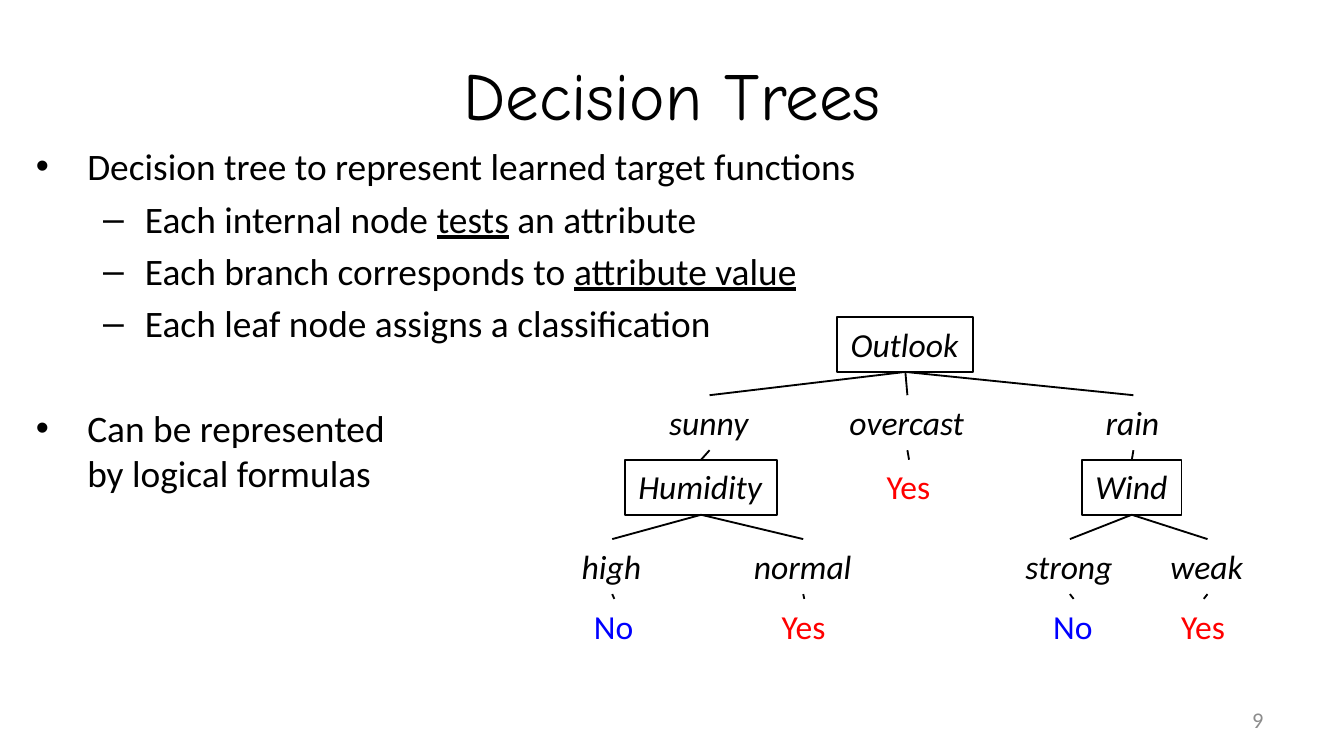
import pptx
import pptx.util
import pptx.dml.color
import pptx.enum.shapes
import pptx.enum.text
import pptx.oxml.xmlchemy

Cm, Pt = pptx.util.Cm, pptx.util.Pt
RGBColor = pptx.dml.color.RGBColor
BLACK = RGBColor(0x00, 0x00, 0x00)
RED = RGBColor(0xFF, 0x00, 0x00)
BLUE = RGBColor(0x00, 0x00, 0xFF)
GRAY = RGBColor(0x8C, 0x8C, 0x8C)
ALIGN = pptx.enum.text.PP_ALIGN
ANCHOR = pptx.enum.text.MSO_ANCHOR


def add_run(p, text, color=BLACK, **font):
    """Add a run; font holds attribute values of its font."""
    r = p.add_run()
    r.text = text
    for name, value in {"name": "Calibri", "size": Pt(18), **font}.items():
        setattr(r.font, name, value)
    r.font.color.rgb = color


def set_bullet(p, char, left, hang):
    """Give a paragraph a bullet and a hanging indent."""
    pPr = p._p.get_or_add_pPr()
    pPr.set("marL", str(Cm(left)))
    pPr.set("indent", str(-Cm(hang)))
    for tag, name, value in (("buFont", "typeface", "Arial"), ("buChar", "char", char)):
        bullet = pptx.oxml.xmlchemy.OxmlElement("a:" + tag)
        bullet.set(name, value)
        pPr.append(bullet)


prs = pptx.Presentation()
prs.slide_width, prs.slide_height = Cm(25.4), Cm(14.29)
s = prs.slides.add_slide(prs.slide_layouts[5])

# Title
sp = s.shapes.title
sp.left, sp.top, sp.width, sp.height = Cm(1.27), Cm(0.58), Cm(22.86), Cm(2.39)
tf = sp.text_frame
tf.vertical_anchor = ANCHOR.MIDDLE
p = tf.paragraphs[0]
p.alignment = ALIGN.CENTER
add_run(p, "Decision Trees", name="Comic Neue", size=Pt(36))

# Bulleted text: level, space before, pieces (every second piece is underlined)
bullets = [
    (0, 4, ["Decision tree to represent learned target functions"]),
    (1, 4, ["Each internal node ", "tests", " an attribute"]),
    (1, 4, ["Each branch corresponds to ", "attribute value"]),
    (1, 4, ["Each leaf node assigns a classification"]),
    (0, 32, ["Can be represented\vby logical formulas"]),
]
styles = [("•", 0.97, 0.97), ("–", 2.06, 0.79)]
tf = s.shapes.add_textbox(Cm(0.43), Cm(2.59), Cm(24.97), Cm(11.5)).text_frame
tf.word_wrap = True
for i, (level, space, pieces) in enumerate(bullets):
    p = tf.add_paragraph() if i else tf.paragraphs[0]
    p.level = level
    p.space_before = Pt(space)
    set_bullet(p, *styles[level])
    for j, piece in enumerate(pieces):
        for k, line in enumerate(piece.split("\v")):
            if k:
                p.add_line_break()
            add_run(p, line, size=Pt(20), underline=j % 2 == 1)

# Tree nodes: text, kind, centre x, row, width
NODE_H = 1.04
ROWS = [5.99, 7.47, 8.69, 10.19, 11.32]
nodes = [
    ("Outlook", "test", 17.11, 0, 2.57),
    ("sunny", "value", 13.41, 1, 2.03),
    ("overcast", "value", 17.15, 1, 2.69),
    ("rain", "value", 21.42, 1, 1.55),
    ("Humidity", "test", 13.25, 2, 2.87),
    ("Yes", "leaf", 17.18, 2, 1.35),
    ("Wind", "test", 21.39, 2, 1.88),
    ("high", "value", 11.57, 3, 1.65),
    ("normal", "value", 15.18, 3, 2.36),
    ("strong", "value", 20.22, 3, 2.18),
    ("weak", "value", 22.82, 3, 1.9),
    ("No", "leaf", 11.61, 4, 1.27),
    ("Yes", "leaf", 15.2, 4, 1.35),
    ("No", "leaf", 20.29, 4, 1.27),
    ("Yes", "leaf", 22.75, 4, 1.35),
]
leaf_colors = {"Yes": RED, "No": BLUE}
for text, kind, x, row, width in nodes:
    box = Cm(x - width / 2), Cm(ROWS[row]), Cm(width), Cm(NODE_H)
    if kind == "test":
        sp = s.shapes.add_shape(pptx.enum.shapes.MSO_SHAPE.RECTANGLE, *box)
        sp.shadow.inherit = False
        sp.fill.background()
        sp.line.color.rgb = BLACK
        sp.line.width = Pt(1)
    else:
        sp = s.shapes.add_textbox(*box)
    tf = sp.text_frame
    tf.word_wrap = False
    tf.auto_size = pptx.enum.text.MSO_AUTO_SIZE.SHAPE_TO_FIT_TEXT
    tf.vertical_anchor = ANCHOR.TOP
    p = tf.paragraphs[0]
    p.alignment = ALIGN.LEFT
    add_run(p, text, leaf_colors.get(text, BLACK), italic=kind != "leaf")

# Branches: index of the parent node and of its children
branches = {0: (1, 2, 3), 1: (4,), 2: (5,), 3: (6,), 4: (7, 8), 6: (9, 10),
            7: (11,), 8: (12,), 9: (13,), 10: (14,)}
for parent, children in branches.items():
    x1, row1 = nodes[parent][2:4]
    for child in children:
        x2, row2 = nodes[child][2:4]
        sp = s.shapes.add_connector(
            pptx.enum.shapes.MSO_CONNECTOR.STRAIGHT,
            Cm(x1), Cm(ROWS[row1] + NODE_H), Cm(x2), Cm(ROWS[row2]))
        sp.line.color.rgb = BLACK
        sp.line.width = Pt(1)
        sp._element.spPr.append(pptx.oxml.xmlchemy.OxmlElement("a:effectLst"))

# Slide number
tf = s.shapes.add_textbox(Cm(18.21), Cm(13.23), Cm(5.92), Cm(0.76)).text_frame
tf.word_wrap = True
tf.vertical_anchor = ANCHOR.MIDDLE
p = tf.paragraphs[0]
p.alignment = ALIGN.RIGHT
add_run(p, "9", GRAY, size=Pt(12))

prs.save("out.pptx")
